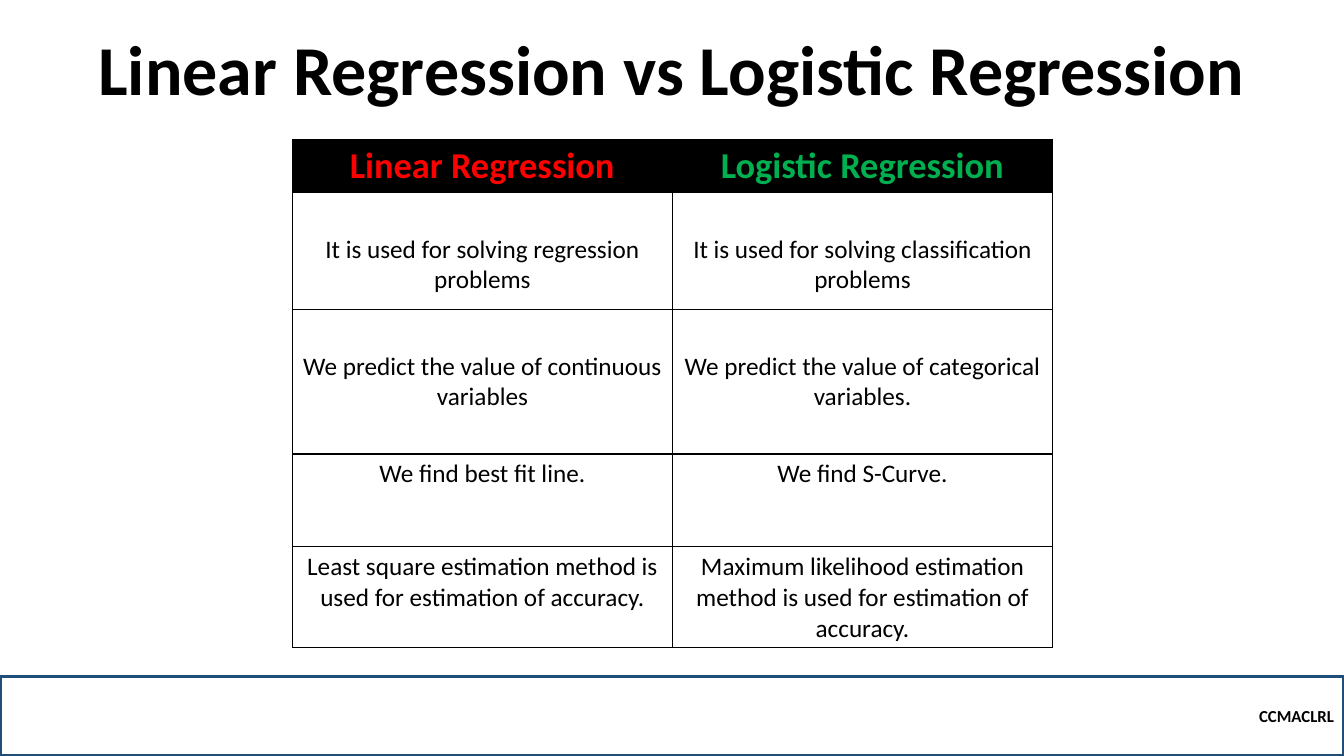
from dataclasses import dataclass

from lxml import etree
from pptx import Presentation
from pptx.dml.color import RGBColor
from pptx.enum.shapes import MSO_SHAPE
from pptx.enum.text import MSO_ANCHOR, PP_ALIGN
from pptx.oxml.ns import qn
from pptx.slide import Slide
from pptx.table import _Cell
from pptx.text.text import TextFrame
from pptx.util import Inches, Pt

RECT = MSO_SHAPE.RECTANGLE
TOP, MIDDLE, BOTTOM = MSO_ANCHOR.TOP, MSO_ANCHOR.MIDDLE, MSO_ANCHOR.BOTTOM
CENTER, RIGHT = PP_ALIGN.CENTER, PP_ALIGN.RIGHT


@dataclass(frozen=True)
class Theme:
    face: str = "Calibri"
    black: str = "000000"
    red: str = "FF0000"
    green: str = "00B050"
    navy: str = "1F4E79"
    title: int = 50
    head: int = 26
    body: int = 18
    foot: int = 12


@dataclass(frozen=True)
class Row:
    height: float
    left: str
    right: str
    inset: float = 0.05


THEME = Theme()
HEAD_TINTS = (THEME.red, THEME.green)
WIDE, TALL = 13.33, 7.5
COL_WIDTH = 3.77
ROWS = (
    Row(0.48, "Linear Regression", "Logistic Regression"),
    Row(1.16, "It is used for solving regression problems",
        "It is used for solving classification problems", 0.41),
    Row(1.43, "We predict the value of continuous variables",
        "We predict the value of categorical variables.", 0.41),
    Row(0.92, "We find best fit line.", "We find S-Curve."),
    Row(0.92, "Least square estimation method is used for estimation of accuracy.",
        "Maximum likelihood estimation method is used for estimation of accuracy."),
)


def write(frame: TextFrame, text: str, size: int, tint: str = THEME.black,
          bold: bool = True, align: PP_ALIGN = CENTER) -> None:
    line = frame.paragraphs[0]
    line.text = text
    line.alignment = align
    style = {"name": THEME.face, "size": Pt(size), "bold": bold}
    for key, value in style.items():
        setattr(line.font, key, value)
    line.font.color.rgb = RGBColor.from_string(tint)


def edge(cell: _Cell, widths: dict[str, float]) -> None:
    """Draw cell borders; widths are points, keyed L, R, T, B in that order."""
    props = cell._tc.get_or_add_tcPr()
    for side, width in widths.items():
        line = etree.SubElement(props, qn(f"a:ln{side}"), w=str(Pt(width)))
        fill = etree.SubElement(line, qn("a:solidFill"))
        etree.SubElement(fill, qn("a:srgbClr"), val=THEME.black)


def add_title(slide: Slide) -> None:
    box = slide.shapes.add_textbox(Inches(0.5), Inches(0.36), Inches(12.33), Inches(0.79))
    frame = box.text_frame
    frame.word_wrap = True
    frame.vertical_anchor = BOTTOM
    write(frame, "Linear Regression vs Logistic Regression", THEME.title)
    frame.paragraphs[0].line_spacing = 0.9


def add_grid(slide: Slide) -> None:
    height = sum(row.height for row in ROWS)
    grid = slide.shapes.add_table(len(ROWS), 2, Inches(2.9), Inches(1.38),
                                  Inches(2 * COL_WIDTH), Inches(height)).table
    grid.horz_banding = False
    for col in grid.columns:
        col.width = Inches(COL_WIDTH)
    for r, row in enumerate(ROWS):
        grid.rows[r].height = Inches(row.height)
        head = r == 0
        for c, text in enumerate((row.left, row.right)):
            cell = grid.cell(r, c)
            cell.margin_top = Inches(row.inset)
            cell.vertical_anchor = TOP
            widths = dict.fromkeys("LRTB", 1.0)
            if head:
                widths |= {"T": 0.5, "LR"[c]: 0.5}
            edge(cell, widths)
            if head:
                cell.fill.solid()
                cell.fill.fore_color.rgb = RGBColor.from_string(THEME.black)
                write(cell.text_frame, text, THEME.head, HEAD_TINTS[c])
            else:
                cell.fill.background()
                write(cell.text_frame, text, THEME.body, bold=False)


def add_foot(slide: Slide) -> None:
    band = slide.shapes.add_shape(RECT, 0, Inches(6.71), Inches(WIDE), Inches(0.79))
    band.shadow.inherit = False
    band.fill.background()
    band.line.color.rgb = RGBColor.from_string(THEME.navy)
    band.line.width = Pt(2.25)
    band.text_frame.word_wrap = True
    band.text_frame.vertical_anchor = MIDDLE
    write(band.text_frame, "CCMACLRL", THEME.foot, align=RIGHT)


def main() -> None:
    deck = Presentation()
    deck.slide_width, deck.slide_height = Inches(WIDE), Inches(TALL)
    slide = deck.slides.add_slide(deck.slide_layouts[6])
    add_foot(slide)
    add_title(slide)
    add_grid(slide)
    deck.save("out.pptx")


if __name__ == "__main__":
    main()
